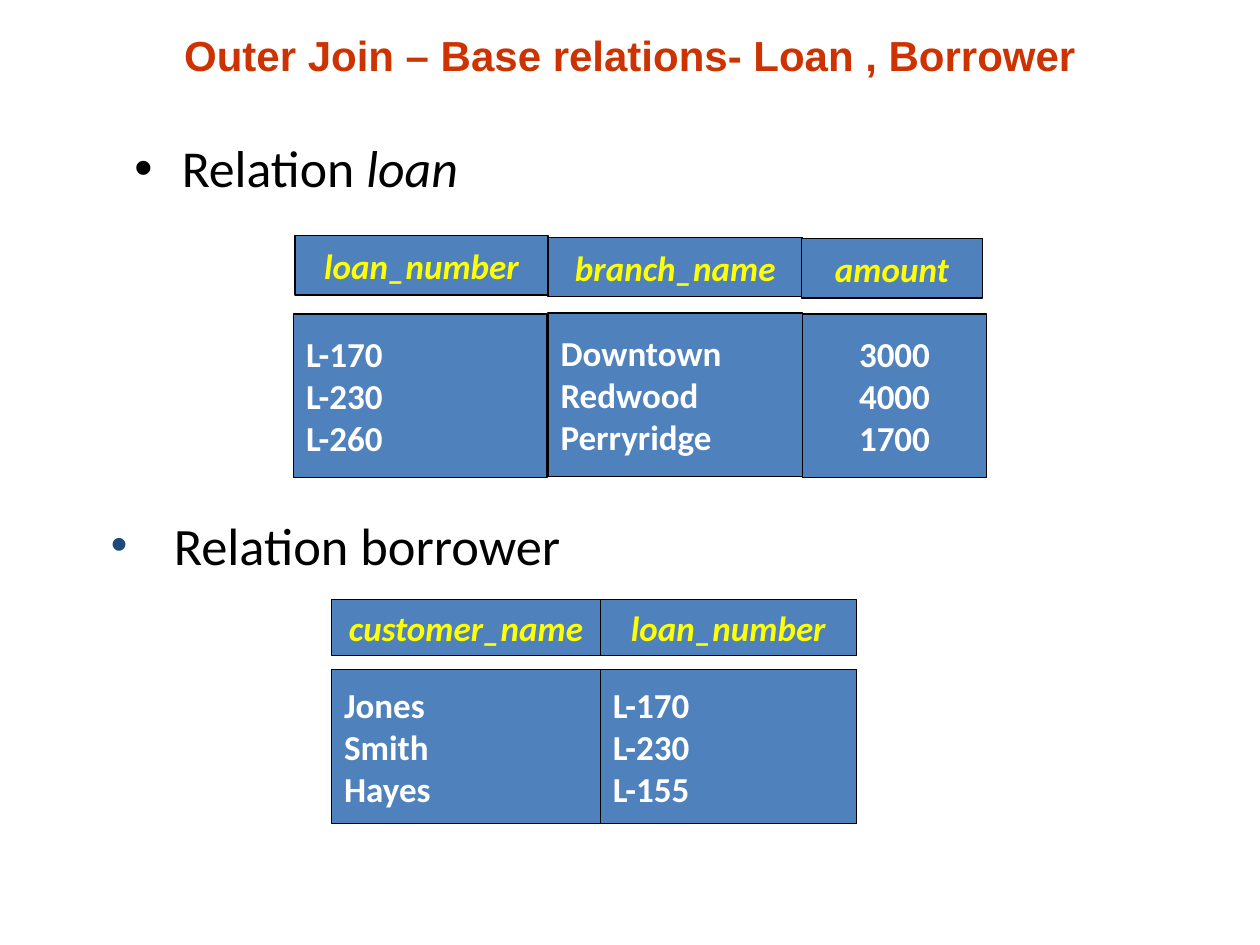
from pptx import Presentation
from pptx.dml.color import RGBColor
from pptx.enum.shapes import MSO_SHAPE
from pptx.enum.text import MSO_ANCHOR, PP_ALIGN
from pptx.oxml.ns import qn
from pptx.util import Pt

RECTANGLE = MSO_SHAPE.RECTANGLE
MIDDLE, TOP = MSO_ANCHOR.MIDDLE, MSO_ANCHOR.TOP
LEFT, CENTER = PP_ALIGN.LEFT, PP_ALIGN.CENTER

LOAN_COLUMNS = [
    ("loan_number", ["L-170", "L-230", "L-260"], LEFT,
     (0.7, 0, 144.7, 33.8), (0, 44.6, 144.7, 93.6)),
    ("branch_name", ["Downtown", "Redwood", "Perryridge"], LEFT,
     (145.4, 1, 145.4, 33.8), (145.4, 44, 145.4, 93.6)),
    ("amount", ["3000", "4000", "1700"], CENTER,
     (290.2, 1.7, 103.4, 33.8), (290.8, 44.6, 105.2, 93.6)),
]
BORROWER_COLUMNS = [
    ("customer_name", ["Jones", "Smith", "Hayes"], LEFT,
     (0, 0, 153.6, 31.8), (0, 40, 153.6, 88)),
    ("loan_number", ["L-170", "L-230", "L-155"], LEFT,
     (153.6, 0, 146.2, 31.8), (153.6, 40, 146.2, 88)),
]


def rgb(value):
    """Return the colour for a hex string."""
    return RGBColor.from_string(value)


def add_run(paragraph, text, size, color, font="Calibri", bold=False, italic=False):
    """Append one formatted run to a paragraph."""
    run = paragraph.add_run()
    run.text = text
    run.font.name = font
    run.font.size = Pt(size)
    run.font.bold = bold
    run.font.italic = italic
    run.font.color.rgb = rgb(color)


def add_text_box(slide, box, anchor):
    """Add a wrapping text box and return its first paragraph."""
    frame = slide.shapes.add_textbox(*map(Pt, box)).text_frame
    frame.word_wrap = True
    frame.vertical_anchor = anchor
    return frame.paragraphs[0]


def add_title(slide, box, text):
    """Place the centred slide title."""
    paragraph = add_text_box(slide, box, MIDDLE)
    paragraph.alignment = CENTER
    add_run(paragraph, text, 24, "CC3300", font="Arial", bold=True)


def add_bullet(slide, box, runs, size, indent, color, scale):
    """Place a bulleted line made of (text, italic) runs."""
    paragraph = add_text_box(slide, box, TOP)
    properties = paragraph._p.get_or_add_pPr()
    properties.set("marL", str(Pt(indent)))
    properties.set("indent", str(-Pt(indent)))
    bullet_color = properties.makeelement(qn("a:buClr"), {})
    bullet_color.append(bullet_color.makeelement(qn("a:srgbClr"), {"val": color}))
    properties.append(bullet_color)
    for tag, attributes in (
        ("a:buSzPct", {"val": str(scale * 1000)}),
        ("a:buFont", {"typeface": "Arial"}),
        ("a:buChar", {"char": "•"}),
    ):
        properties.append(properties.makeelement(qn(tag), attributes))
    for text, italic in runs:
        add_run(paragraph, text, size, "000000", italic=italic)


def add_cell(group, box, lines, alignment, color, italic=False):
    """Draw one outlined block holding a paragraph for each line."""
    shape = group.shapes.add_shape(RECTANGLE, *map(Pt, box))
    shape.shadow.inherit = False
    shape.fill.solid()
    shape.fill.fore_color.rgb = rgb("4F81BD")
    shape.line.color.rgb = rgb("000000")
    shape.line.width = Pt(0.75)
    frame = shape.text_frame
    frame.word_wrap = True
    frame.vertical_anchor = MIDDLE
    for index, line in enumerate(lines):
        paragraph = frame.add_paragraph() if index else frame.paragraphs[0]
        paragraph.alignment = alignment
        add_run(paragraph, line, 20, color, bold=True, italic=italic)


def add_relation(slide, left, top, columns):
    """Draw a relation as a group of headings above value blocks."""
    group = slide.shapes.add_group_shape()
    for heading, values, alignment, heading_box, values_box in columns:
        for box, lines, align, color, italic in (
            (heading_box, [heading], CENTER, "FFFF00", True),
            (values_box, values, alignment, "FFFFFF", False),
        ):
            x, y, width, height = box
            add_cell(group, (left + x, top + y, width, height),
                     lines, align, color, italic)


def main():
    """Build and save the slide."""
    presentation = Presentation()
    presentation.slide_width, presentation.slide_height = Pt(720), Pt(540)
    slide = presentation.slides.add_slide(presentation.slide_layouts[6])
    add_title(slide, (36, 2.2, 648, 57.6), "Outer Join – Base relations- Loan , Borrower")
    add_bullet(slide, (69.8, 74.2, 540, 38.2),
               [("Relation ", False), ("loan", True)], 29.6, 27, "000000", 100)
    add_bullet(slide, (56.2, 289.4, 553.7, 38.2),
               [("Relation borrower", False)], 30, 36, "1F497D", 90)
    add_relation(slide, 167.8, 134.8, LOAN_COLUMNS)
    add_relation(slide, 189.5, 342.8, BORROWER_COLUMNS)
    presentation.save("out.pptx")


if __name__ == "__main__":
    main()
